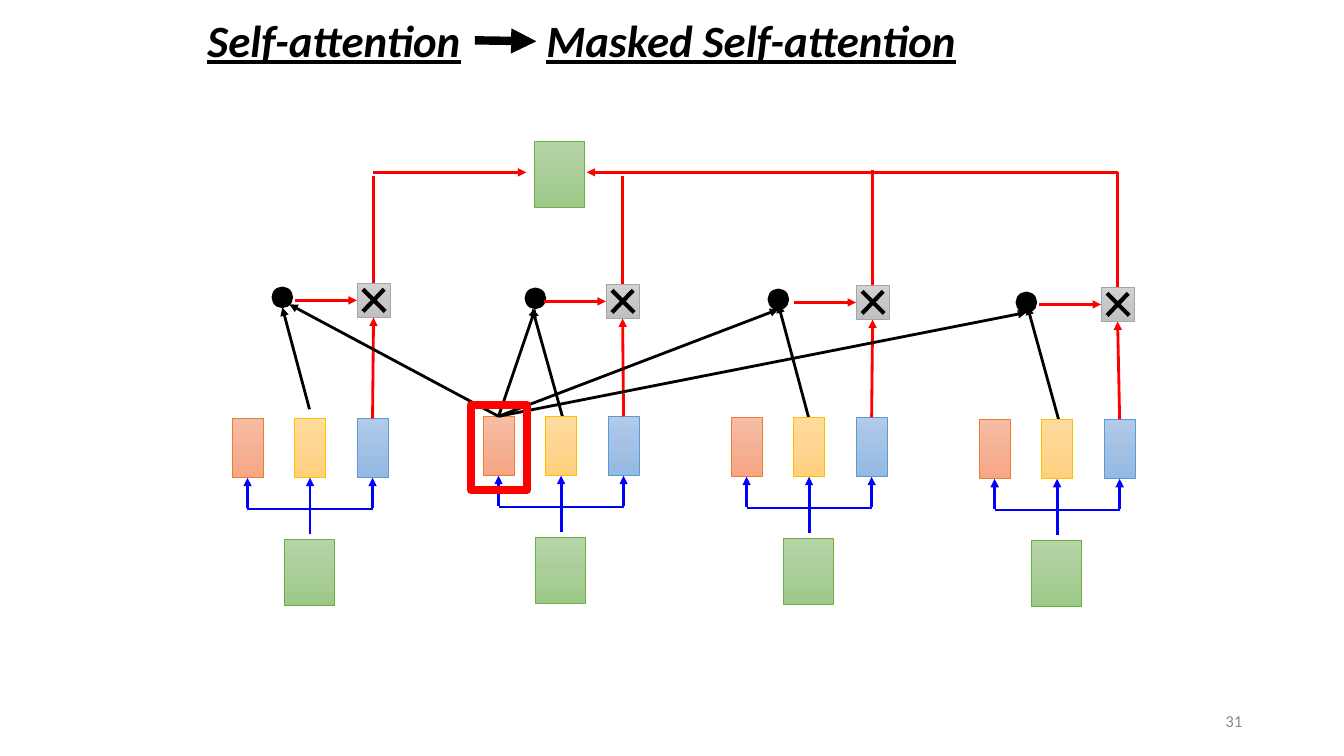
from dataclasses import dataclass
from copy import deepcopy
from typing import Optional
from lxml.etree import SubElement
from pptx import Presentation
from pptx.dml.color import RGBColor as Rgb
from pptx.enum.shapes import MSO_CONNECTOR as Conn, MSO_SHAPE as Kind
from pptx.enum.text import MSO_ANCHOR as Anchor, MSO_AUTO_SIZE as Fit, PP_ALIGN as Align
from pptx.oxml.ns import qn
from pptx.shapes.autoshape import Shape
from pptx.shapes.connector import Connector
from pptx.util import Inches, Pt

Point = tuple[float, float]
TOP, LEFT, BOTTOM = 0, 1, 2


@dataclass(frozen=True)
class Paint:
    stops: tuple[str, ...]
    edge: str
    width: float = 0.5


@dataclass(frozen=True)
class Theme:
    black: str = "000000"
    red: str = "FF0000"
    blue: str = "0000FF"
    gray: str = "8C8C8C"
    face: str = "Calibri"
    title: int = 32
    small: int = 12
    thin: float = 2
    bold: float = 3
    thick: float = 6
    key: Paint = Paint(("F7BDA5", "F5B196", "F8A582"), "ED7D31")
    query: Paint = Paint(("FFDB9E", "FFD590", "FFD07C"), "FFC000")
    value: Paint = Paint(("B1CBE9", "A3C1E5", "93B9E4"), "5B9BD5")
    token: Paint = Paint(("B5D5A7", "AACE9A", "9CC987"), "70AD47")
    times: Paint = Paint(("D2D2D2", "C8C8C8", "C0C0C0"), "A5A5A5")
    dot: Paint = Paint(("000000",), "000000", 1)
    frame: Paint = Paint((), "FF0000", 6)


@dataclass(frozen=True)
class Column:
    left: float
    top: float
    dot: Point
    times: Point
    ask: Point
    ask_tip: Point
    key_tip: Point
    rise: float


THEME = Theme()
STEP = 0.62
WIDE, HIGH = 0.31, 0.59
BUS = 1.71
TOKEN = (0.5, 0.66)
FOCUS = 1

COLUMNS = (
    Column(2.3, 4.15, (2.7, 2.85), (3.54, 2.81), (3.07, 4.06), (2.8, 3.05), (2.87, 3.02), 1.75),
    Column(4.79, 4.13, (5.21, 2.86), (6.01, 2.82), (5.6, 4.21), (5.28, 3.06), (5.31, 3.06), 1.75),
    Column(7.25, 4.14, (7.62, 2.87), (8.49, 2.83), (8.03, 4.18), (7.72, 3.02), (7.72, 3.07), 1.69),
    Column(9.71, 4.16, (10.08, 2.9), (10.92, 2.85), (10.51, 4.2), (10.19, 3.04), (10.18, 3.1), BUS),
)

deck = Presentation()
deck.slide_width, deck.slide_height = Inches(13.33), Inches(7.5)
slide = deck.slides.add_slide(deck.slide_layouts[6])


def add_block(spot: Point, size: Point, paint: Paint, kind: Kind = Kind.RECTANGLE) -> Shape:
    block = slide.shapes.add_shape(kind, *map(Inches, spot + size))
    block.shadow.inherit = False
    block.line.color.rgb = Rgb.from_string(paint.edge)
    block.line.width = Pt(paint.width)
    fill = block.fill
    if len(paint.stops) > 1:
        fill.gradient()
        fill.gradient_angle = 270
        stops = block.element.spPr.find(qn("a:gradFill")).find(qn("a:gsLst"))
        stops.append(deepcopy(stops[-1]))
        for rank, (stop, tint) in enumerate(zip(fill.gradient_stops, paint.stops)):
            stop.color.rgb = Rgb.from_string(tint)
            stop.position = rank / 2
    elif paint.stops:
        fill.solid()
        fill.fore_color.rgb = Rgb.from_string(paint.stops[0])
    else:
        fill.background()
    return block


def add_line(start: Point, end: Point, tint: str, width: float = THEME.thin, head: bool = False,
             source: Optional[tuple[Shape, int]] = None,
             target: Optional[tuple[Shape, int]] = None) -> Connector:
    line = slide.shapes.add_connector(Conn.STRAIGHT, *map(Inches, start + end))
    line.line.color.rgb = Rgb.from_string(tint)
    line.line.width = Pt(width)
    if head:
        SubElement(line.line._get_or_add_ln(), qn("a:tailEnd"), type="triangle")
    SubElement(line.element.spPr, qn("a:effectLst"))
    if source:
        line.begin_connect(*source)
    if target:
        line.end_connect(*target)
    return line


def add_text(text: str, spot: Point, size: Point, tint: str, style: dict,
             frame: dict, align: Align = Align.LEFT) -> None:
    box = slide.shapes.add_textbox(*map(Inches, spot + size)).text_frame
    for name, item in frame.items():
        setattr(box, name, item)
    line = box.paragraphs[0]
    line.alignment = align
    run = line.add_run()
    run.text = text
    for name, item in style.items():
        setattr(run.font, name, item)
    run.font.color.rgb = Rgb.from_string(tint)


def add_fork(column: Column, blocks: list[Shape]) -> None:
    mids = [column.left + STEP * rank + WIDE / 2 for rank in range(3)]
    bar = column.top + 0.9
    for block, mid, drop in zip(blocks, mids, (0.89, 1.15, 0.89)):
        add_line((mid, column.top + drop), (mid, column.top + HIGH), THEME.blue,
                 head=True, target=(block, BOTTOM))
    for start, end in zip(mids, mids[1:]):
        add_line((start, bar), (end, bar), THEME.blue)


def add_times(spot: Point) -> Shape:
    left, top = spot
    block = add_block(spot, (0.33, 0.34), THEME.times)
    for start, end in ((0.06, 0.28), (0.27, 0.06)):
        add_line((left + start, top + 0.06), (left + end, top + 0.28), THEME.black, THEME.bold)
    return block


def add_column(column: Column) -> Shape:
    add_line(column.ask, column.ask_tip, THEME.black, head=True)
    blocks = [add_block((column.left + STEP * rank, column.top), (WIDE, HIGH), paint)
              for rank, paint in enumerate((THEME.key, THEME.query, THEME.value))]
    add_fork(column, blocks)
    add_block(column.dot, (0.2, 0.2), THEME.dot, Kind.OVAL)
    times = add_times(column.times)
    left, top = column.times
    mid, row = left + 0.165, top + 0.17
    add_line((mid, column.top), (mid, top + 0.34), THEME.red, head=True,
             source=(blocks[2], TOP), target=(times, BOTTOM))
    add_line((mid, top), (mid, column.rise), THEME.red, source=(times, TOP))
    add_line((left - 0.61, row), (left, row), THEME.red, head=True, target=(times, LEFT))
    add_block((column.left + 0.52, column.top + 1.2), TOKEN, THEME.token)
    return blocks[0]


def main() -> None:
    keys = [add_column(column) for column in COLUMNS]
    focus = COLUMNS[FOCUS]
    for column in COLUMNS:
        add_line((focus.left + WIDE / 2, focus.top), column.key_tip, THEME.black,
                 head=True, source=(keys[FOCUS], TOP))
    add_block((4.67, 4.02), (0.56, 0.84), THEME.frame)

    add_block((5.3, 1.4), TOKEN, THEME.token)
    add_line((3.7, BUS), (5.22, BUS), THEME.red, head=True)
    add_line((6.19, BUS), (5.82, BUS), THEME.red, head=True)
    add_line((11.09, BUS), (6.19, BUS), THEME.red)

    style = {"name": THEME.face, "size": Pt(THEME.title), "bold": True,
             "italic": True, "underline": True}
    frame = {"word_wrap": False, "auto_size": Fit.SHAPE_TO_FIT_TEXT}
    for text, left, width in (("Self-attention", 1.96, 2.76),
                              ("Masked Self-attention", 5.32, 4.32)):
        add_text(text, (left, 0.08), (width, 0.64), THEME.black, style, frame)
    add_line((4.71, 0.4), (5.32, 0.41), THEME.black, THEME.thick, head=True)
    add_text("31", (9.42, 6.95), (3, 0.4), THEME.gray,
             {"name": THEME.face, "size": Pt(THEME.small)},
             {"word_wrap": True, "vertical_anchor": Anchor.MIDDLE}, Align.RIGHT)
    deck.save("out.pptx")


if __name__ == "__main__":
    main()
